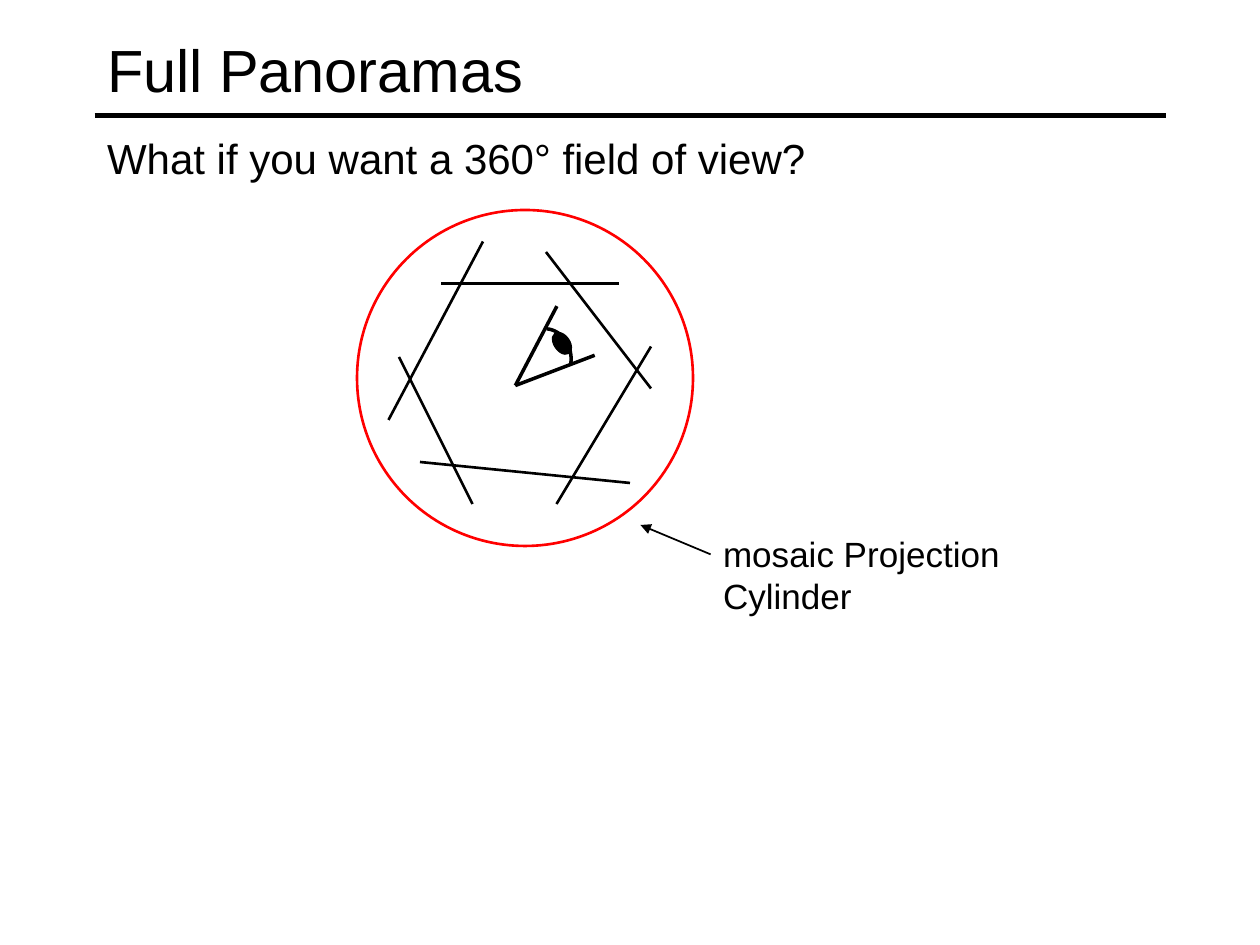
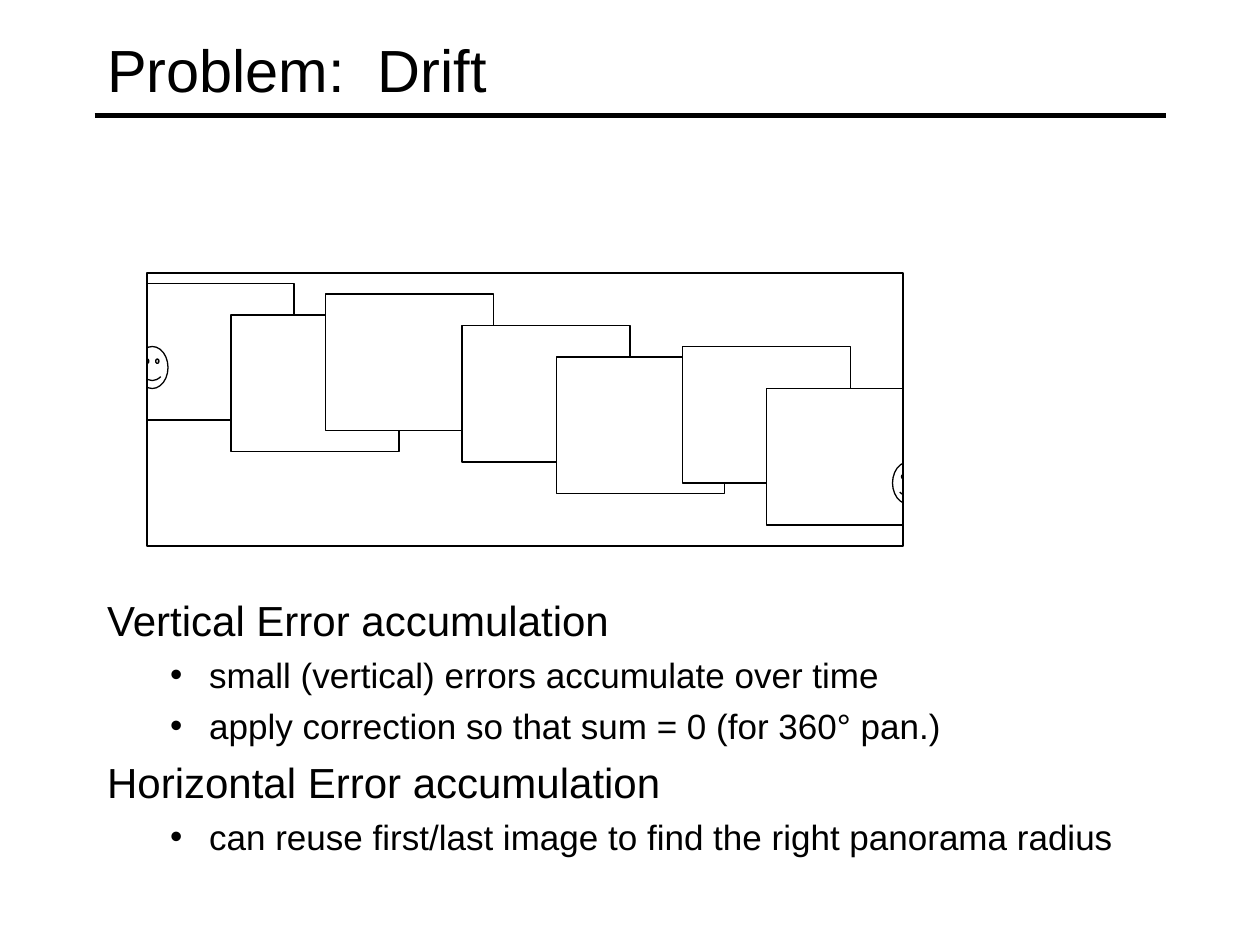
import pptx
import pptx.util
import pptx.dml.color
import pptx.enum.shapes
import pptx.enum.text
import pptx.oxml
import pptx.oxml.ns
import lxml.etree

RGBColor = pptx.dml.color.RGBColor
SHAPE = pptx.enum.shapes.MSO_SHAPE
Inches = pptx.util.Inches
Pt = pptx.util.Pt

BLACK = RGBColor(0x00, 0x00, 0x00)
WHITE = RGBColor(0xFF, 0xFF, 0xFF)
RED = RGBColor(0xFF, 0x00, 0x00)
FONT = "Arial"
CELL = 1 / 12  # grid step in inches

# Level of a paragraph: text size, left margin, indent, space before, bullet
LEVELS = [
    (24, 0.38, -0.38, 6, None),
    (20, 0.81, -0.31, 5, "•"),
]

# Content: (level, text) for the lists
PANORAMA_TITLE = "Full Panoramas"
PANORAMA_BODY = [(0, "What if you want a 360° field of view?")]
CYLINDER_LABEL = "mosaic Projection Cylinder"
DRIFT_TITLE = "Problem:  Drift"
DRIFT_BODY = [
    (0, "Vertical Error accumulation"),
    (1, "small (vertical) errors accumulate over time"),
    (1, "apply correction so that sum = 0 (for 360° pan.)"),
    (0, "Horizontal Error accumulation"),
    (1, "can reuse first/last image to find the right panorama radius"),
]

# Drawings, in grid cells
IMAGE_PLANES = [
    ((42, 27), (59, 27)),
    ((52, 24), (62, 37)),
    ((62, 33), (53, 48)),
    ((60, 46), (40, 44)),
    ((45, 48), (38, 34)),
    ((46, 23), (37, 40)),
]
CYLINDER = (34, 20, 32, 32)
FRAME_SIZE = (16, 13)
FRAMES = [(12, 27), (22, 30), (31, 28), (44, 31), (53, 34), (65, 33), (73, 37)]
FACE_SIZE = (3, 4)
FACES = [(13, 33), (85, 44)]
PANORAMA = (14, 26, 72, 26)
MARGIN_WIDTH = 4

# Eye, in inches
EYE_CORNER = (4.09, 3.06)
EYELID_ENDS = [(4.42, 2.43), (4.72, 2.82)]
PUPIL = (4.40, 2.63, 0.12, 0.19)
CORNEA_CURVE = [(4.34, 2.61), (4.46, 2.62), (4.55, 2.75), (4.53, 2.89)]


def in_cells(values):
    return [value * CELL for value in values]


def style_paragraph(para, size):
    for span in para.runs:
        span.font.name = FONT
        span.font.size = Pt(size)
        span.font.color.rgb = BLACK


def paint(shape, fill, line, width=0.75):
    shape.shadow.inherit = False
    if fill is None:
        shape.fill.background()
    else:
        shape.fill.solid()
        shape.fill.fore_color.rgb = fill
    if line is None:
        shape.line.fill.background()
    else:
        shape.line.color.rgb = line
        shape.line.width = Pt(width)
    return shape


def add_shape(page, kind, at, fill, line, width=0.75):
    shape = page.shapes.add_shape(kind, *map(Inches, at))
    return paint(shape, fill, line, width)


def add_line(page, start, end, width, arrow=False):
    line = page.shapes.add_connector(
        pptx.enum.shapes.MSO_CONNECTOR.STRAIGHT, *map(Inches, (*start, *end)))
    line.line.color.rgb = BLACK
    line.line.width = Pt(width)
    properties = line._element.spPr
    if arrow:
        outline = properties.find(pptx.oxml.ns.qn("a:ln"))
        head = lxml.etree.SubElement(outline, pptx.oxml.ns.qn("a:tailEnd"))
        head.set("type", "triangle")
    lxml.etree.SubElement(properties, pptx.oxml.ns.qn("a:effectLst"))
    return line


def set_bullet(para, margin, indent, bullet):
    properties = para._p.get_or_add_pPr()
    properties.set("marL", str(Inches(margin)))
    properties.set("indent", str(Inches(indent)))
    tag = pptx.oxml.ns.qn
    if bullet is None:
        lxml.etree.SubElement(properties, tag("a:buNone"))
        return
    colour = lxml.etree.SubElement(properties, tag("a:buClr"))
    lxml.etree.SubElement(colour, tag("a:srgbClr")).set("val", str(BLACK))
    lxml.etree.SubElement(properties, tag("a:buFont")).set("typeface", FONT)
    lxml.etree.SubElement(properties, tag("a:buChar")).set("char", bullet)


def place(box, at, anchor):
    box.left, box.top, box.width, box.height = map(Inches, at)
    frame = box.text_frame
    frame.word_wrap = True
    frame.auto_size = pptx.enum.text.MSO_AUTO_SIZE.NONE
    frame.vertical_anchor = anchor
    return frame


def add_page(deck, title, body, body_rows):
    """Slide with title, rule below it and a list over (top, height) rows."""
    page = deck.slides.add_slide(deck.slide_layouts[1])
    anchors = pptx.enum.text.MSO_ANCHOR
    frame = place(page.shapes.title, in_cells((9, 1, 102, 11)), anchors.MIDDLE)
    frame.text = title
    frame.paragraphs[0].alignment = pptx.enum.text.PP_ALIGN.LEFT
    style_paragraph(frame.paragraphs[0], 34)
    add_line(page, in_cells((9, 11)), in_cells((111, 11)), 3)

    top, height = body_rows
    frame = place(page.placeholders[1], in_cells((9, top, 102, height)), anchors.TOP)
    frame.text = "\n".join(text for _, text in body)
    for number, (para, (level, _)) in enumerate(zip(frame.paragraphs, body)):
        size, margin, indent, before, bullet = LEVELS[level]
        para.level = level
        set_bullet(para, margin, indent, bullet)
        para.space_before = Pt(before if number else 0)
        style_paragraph(para, size)
    return page


def draw_eye(page):
    points = []
    steps = 16
    for step in range(steps + 1):
        t = step / steps
        weights = [(1 - t) ** 3, 3 * t * (1 - t) ** 2, 3 * t ** 2 * (1 - t), t ** 3]
        points.append(tuple(
            Inches(sum(weight * point[axis] for weight, point in zip(weights, CORNEA_CURVE)))
            for axis in (0, 1)))
    builder = page.shapes.build_freeform(*points[0])
    builder.add_line_segments(points[1:], close=False)
    paint(builder.convert_to_shape(), WHITE, BLACK, 2)
    for end in EYELID_ENDS:
        add_line(page, end, EYE_CORNER, 2)
    pupil = add_shape(page, SHAPE.OVAL, PUPIL, BLACK, BLACK, 1)
    pupil.rotation = 324.7


def build_panorama(deck):
    page = add_page(deck, PANORAMA_TITLE, PANORAMA_BODY, (12, 69))
    draw_eye(page)
    for start, end in IMAGE_PLANES:
        add_line(page, in_cells(start), in_cells(end), 1.5)
    add_shape(page, SHAPE.OVAL, in_cells(CYLINDER), None, RED, 1.5)

    # Label and its arrow to the cylinder
    label = page.shapes.add_textbox(*map(Inches, (5.64, 4.18, 3.49, 0.44)))
    label.text_frame.word_wrap = False
    label.text_frame.auto_size = pptx.enum.text.MSO_AUTO_SIZE.SHAPE_TO_FIT_TEXT
    label.text_frame.text = CYLINDER_LABEL
    style_paragraph(label.text_frame.paragraphs[0], 20)
    arrow = add_line(page, in_cells((68, 53)), in_cells((61, 50)), 1, arrow=True)
    arrow.begin_connect(label, 1)


def build_drift(deck):
    page = add_page(deck, DRIFT_TITLE, DRIFT_BODY, (56, 30))
    for corner in FRAMES:
        add_shape(page, SHAPE.RECTANGLE, in_cells(corner + FRAME_SIZE), WHITE, BLACK)
    for corner in FACES:
        add_shape(page, SHAPE.SMILEY_FACE, in_cells(corner + FACE_SIZE), WHITE, BLACK)

    # White margins trim the frames at both ends of the panorama
    left, top, width, height = PANORAMA
    for edge in (left - MARGIN_WIDTH, left + width):
        margin = in_cells((edge, top, MARGIN_WIDTH, height))
        add_shape(page, SHAPE.RECTANGLE, margin, WHITE, None)
    add_shape(page, SHAPE.RECTANGLE, in_cells(PANORAMA), None, BLACK)


def main():
    deck = pptx.Presentation()
    deck.slide_width, deck.slide_height = Inches(10), Inches(7.5)
    build_panorama(deck)
    build_drift(deck)
    deck.save("out.pptx")


if __name__ == "__main__":
    main()
